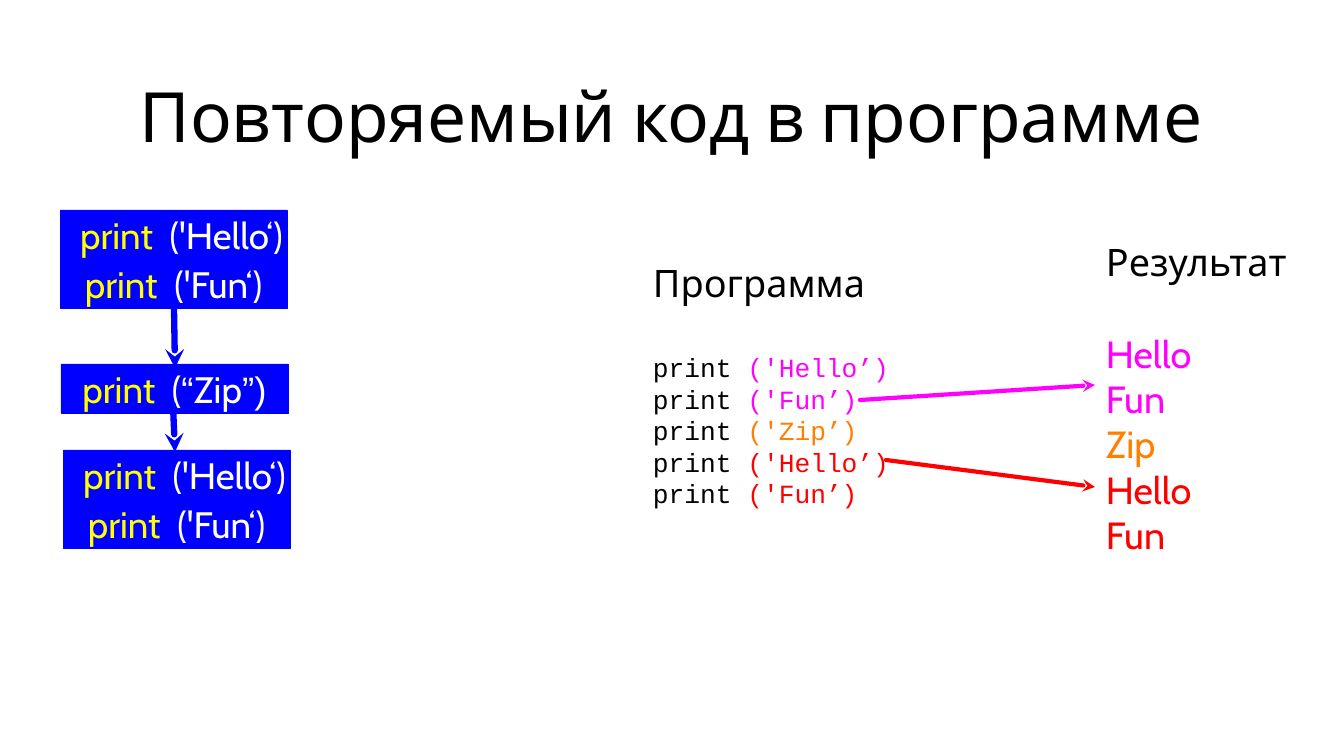
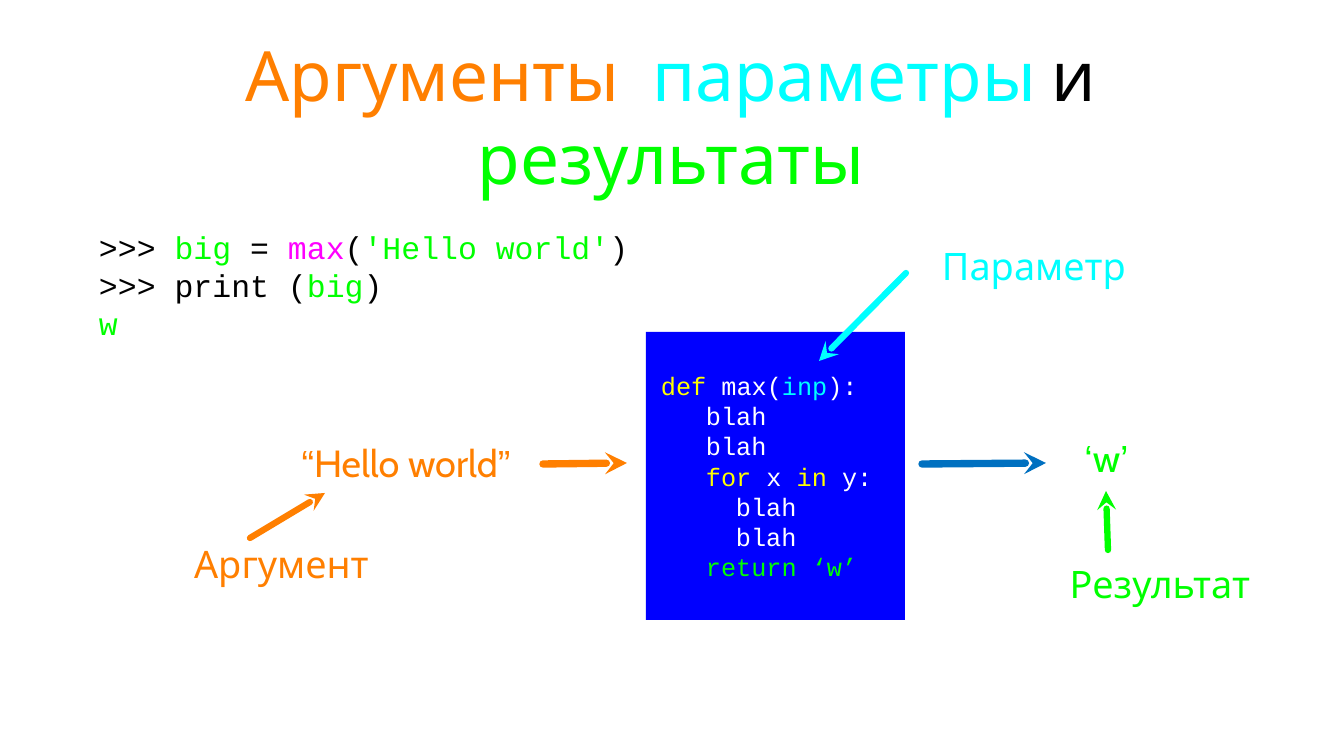
from dataclasses import dataclass
from typing import Optional, Union

import pptx
import pptx.dml.color
import pptx.enum.shapes
import pptx.enum.text
import pptx.oxml
import pptx.oxml.ns
import pptx.util

PX_PER_INCH = 75.6
LEFT = pptx.enum.text.PP_ALIGN.LEFT
CENTER = pptx.enum.text.PP_ALIGN.CENTER


@dataclass(frozen=True)
class Theme:
    sans: str = "Cabin"
    quote: str = "Arial"
    mono: str = "Courier New"
    black: str = "000000"
    white: str = "FFFFFF"
    blue: str = "0000FF"
    yellow: str = "FFFF00"
    magenta: str = "FF00FF"
    orange: str = "FF7F00"
    red: str = "FF0000"
    cyan: str = "00FFFF"
    green: str = "00FF00"
    steel: str = "0070C0"
    title: float = 66
    label: float = 36
    box: float = 35
    console: float = 30
    listing: float = 25
    function: float = 24
    mono_leading: float = 1.2


T = Theme()


@dataclass(frozen=True)
class Run:
    text: str
    color: str
    font: Optional[str] = None
    tracking: int = 0


@dataclass(frozen=True)
class Para:
    runs: tuple[Run, ...]
    size: float
    font: str = T.sans
    align: pptx.enum.text.PP_ALIGN = LEFT
    indent: int = 0
    after: float = 0


@dataclass(frozen=True)
class Block:
    x: int
    y: int
    w: int
    h: int
    paras: tuple[Para, ...]
    fill: Optional[str] = None
    outline: bool = False
    inset: int = 0


@dataclass(frozen=True)
class Arrow:
    tip: tuple[int, int]
    tail: tuple[int, int]
    color: str
    width: float


def px(n: float) -> int:
    return pptx.util.Emu(round(n * 914400 / PX_PER_INCH))


def rgb(color: str) -> pptx.dml.color.RGBColor:
    return pptx.dml.color.RGBColor.from_string(color)


def write_para(p, para: Para) -> None:
    p.alignment = para.align
    p.font.size = pptx.util.Pt(para.size)
    if para.font == T.mono:
        p.line_spacing = pptx.util.Pt(para.size * T.mono_leading)
    if para.after:
        p.space_after = pptx.util.Pt(para.after)
    if para.indent:
        ppr = p._p.get_or_add_pPr()
        ppr.set("marL", str(px(para.indent)))
        ppr.set("indent", "0")
    same_font = all(run.font is None for run in para.runs)
    same_color = len({run.color for run in para.runs}) == 1
    if same_font:
        p.font.name = para.font
    if same_color:
        p.font.color.rgb = rgb(para.runs[0].color)
    for run in para.runs:
        r = p.add_run()
        r.text = run.text
        if not same_font:
            r.font.name = run.font or para.font
        if not same_color:
            r.font.color.rgb = rgb(run.color)
        if run.tracking:
            r._r.get_or_add_rPr().set("spc", str(run.tracking * 100))


def draw_block(slide, block: Block) -> None:
    frame = (px(block.x), px(block.y), px(block.w), px(block.h))
    if block.fill:
        sp = slide.shapes.add_shape(pptx.enum.shapes.MSO_SHAPE.RECTANGLE, *frame)
        sp.shadow.inherit = False
        sp.fill.solid()
        sp.fill.fore_color.rgb = rgb(block.fill)
        if block.outline:
            sp.line.color.rgb = rgb(block.fill)
            sp.line.width = pptx.util.Pt(0.75)
        else:
            sp.line.fill.background()
    else:
        sp = slide.shapes.add_textbox(*frame)
    tf = sp.text_frame
    tf.word_wrap = True
    tf.vertical_anchor = pptx.enum.text.MSO_ANCHOR.MIDDLE
    tf.margin_left = tf.margin_right = px(block.inset)
    tf.margin_top = tf.margin_bottom = px(block.inset)
    for i, para in enumerate(block.paras):
        write_para(tf.add_paragraph() if i else tf.paragraphs[0], para)


def draw_arrow(slide, arrow: Arrow) -> None:
    ends = [px(n) for n in (*arrow.tip, *arrow.tail)]
    sp = slide.shapes.add_connector(pptx.enum.shapes.MSO_CONNECTOR.STRAIGHT, *ends)
    sp.line.color.rgb = rgb(arrow.color)
    sp.line.width = pptx.util.Pt(arrow.width)
    ln = sp.line._get_or_add_ln()
    ln.set("cap", "rnd")
    head = pptx.oxml.parse_xml(f'<a:headEnd {pptx.oxml.ns.nsdecls("a")} type="stealth"/>')
    ln.append(head)
    effects = pptx.oxml.parse_xml(f'<a:effectLst {pptx.oxml.ns.nsdecls("a")}/>')
    sp._element.spPr.append(effects)


def draw_slide(prs, items: list[Union[Block, Arrow]]) -> None:
    slide = prs.slides.add_slide(prs.slide_layouts[6])
    for item in items:
        if isinstance(item, Arrow):
            draw_arrow(slide, item)
        else:
            draw_block(slide, item)


def title(*runs: Run) -> Block:
    return Block(95, 20, 1152, 190, (Para(runs, T.title, align=CENTER),), inset=3)


def caption(x: int, y: int, w: int, *runs: Run) -> Block:
    return Block(x, y, w, 51, (Para(runs, T.label, align=CENTER),))


def heading(text: str) -> Para:
    return Para((Run(text, T.black),), T.label, after=44)


def code(size: float, *runs: Run, indent: int = 0) -> Para:
    return Para(runs, size, T.mono, indent=indent)


def step(x: int, y: int, *args: Run, indent: int = 0) -> Block:
    runs = (Run("print", T.yellow), Run(" ", T.white, tracking=8), *args)
    para = Para(runs, T.box, align=CENTER, indent=indent)
    return Block(x, y, 227, 49, (para,), T.blue, outline=True)


def hello_fun(x: int, y: int) -> list[Block]:
    return [
        step(x, y, Run("('Hello‘)", T.white), indent=16),
        step(x, y + 49, Run("('Fun‘)", T.white)),
    ]


def repeated_code() -> list[Union[Block, Arrow]]:
    words = [("Hello", T.magenta), ("Fun", T.magenta), ("Zip", T.orange),
             ("Hello", T.red), ("Fun", T.red)]
    results = [Para((Run(word, color),), T.label) for word, color in words]
    calls = [code(T.listing, Run("print ", T.black), Run(f"('{word}’)", color))
             for word, color in words]
    zip_args = (Run("(", T.white), Run("“", T.white, T.quote),
                Run("Zip", T.white), Run("”)", T.white, T.quote))
    return [
        title(Run("Повторяемый код в программе", T.black)),
        Block(1106, 243, 238, 310, (heading("Результат"), *results)),
        Block(653, 209, 325, 351, (heading("Программа"), *calls)),
        Arrow((1095, 385), (860, 400), T.magenta, 4),
        Arrow((1095, 487), (886, 460), T.red, 4),
        *hello_fun(60, 210),
        Arrow((175, 368), (174, 308), T.blue, 6),
        step(61, 364, *zip_args),
        Arrow((175, 452), (173, 405), T.blue, 6),
        *hello_fun(63, 450),
    ]


def arguments_and_results() -> list[Union[Block, Arrow]]:
    console = (
        code(T.console, Run(">>> ", T.black), Run("big", T.green), Run(" = ", T.black),
             Run("max", T.magenta), Run("(", T.black),
             Run("'Hello world'", T.green), Run(")", T.black)),
        code(T.console, Run(">>> print (", T.black), Run("big", T.green), Run(")", T.black)),
        code(T.console, Run("w", T.green)),
    )
    char = 15
    body, inner = 4 * char, 6 * char
    blah = Run("blah", T.white)
    function = (
        code(T.function, Run("def", T.yellow), Run(" max(", T.white),
             Run("inp", T.cyan), Run("):", T.white), indent=char),
        *[code(T.function, blah, indent=body)] * 2,
        code(T.function, Run("for", T.yellow), Run(" x ", T.white),
             Run("in", T.yellow), Run(" y:", T.white), indent=body),
        *[code(T.function, blah, indent=inner)] * 2,
        code(T.function, Run("return ‘w’", T.green), indent=body),
    )
    return [
        title(Run("Аргументы", T.orange), Run(" ", T.white, tracking=16),
              Run("параметры ", T.cyan), Run("и ", T.black), Run("результаты", T.green)),
        Block(99, 216, 624, 138, console),
        Block(646, 332, 259, 288, function, T.blue),
        Arrow((627, 463), (543, 464), T.orange, 7),
        caption(288, 437, 236, Run("“", T.orange, T.quote), Run("Hello world", T.orange),
                Run("”", T.orange, T.quote)),
        caption(1080, 432, 53, Run("‘", T.green, T.quote), Run("w", T.green),
                Run("’", T.green, T.quote)),
        Arrow((1046, 463), (922, 464), T.steel, 7),
        caption(169, 538, 225, Run("Аргумент", T.orange)),
        Arrow((325, 493), (250, 538), T.orange, 6),
        caption(928, 240, 212, Run("Параметр", T.cyan)),
        Arrow((819, 361), (906, 273), T.cyan, 6),
        caption(1054, 558, 212, Run("Результат", T.green)),
        Arrow((1106, 491), (1108, 550), T.green, 6),
    ]


prs = pptx.Presentation()
prs.slide_width = px(1344)
prs.slide_height = px(756)
draw_slide(prs, repeated_code())
draw_slide(prs, arguments_and_results())
prs.save("out.pptx")
